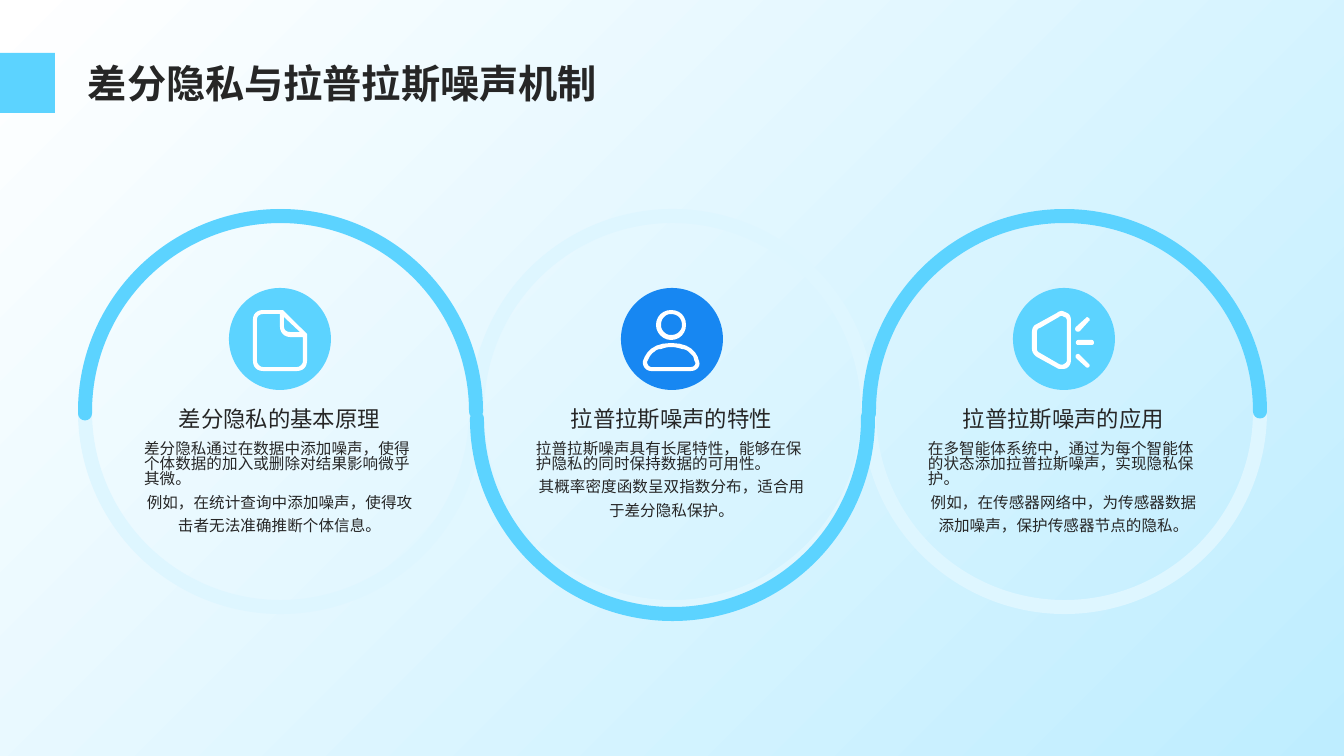
import pptx
import pptx.util
import pptx.dml.color
import pptx.enum.shapes
import pptx.enum.text
import pptx.oxml.ns
import lxml.etree

PX = 914400 / 100.8
WIDTH, HEIGHT = 1344, 756
FONT = "Noto Sans CJK SC"
SKY, BLUE, PALE, INK, WHITE = "5CD3FF", "1787F2", "DEF6FF", "262626", "FFFFFF"
SHAPE = pptx.enum.shapes.MSO_SHAPE
ALIGN = pptx.enum.text.PP_ALIGN
ANCHOR = pptx.enum.text.MSO_ANCHOR

RING, PITCH, RING_TOP, FIRST_LEFT = 391, 392, 216, 85

# Icon outlines in px from the corner of the disc: two numbers make a line, six a curve
PAGE = [
    "78 46, 54 22, 34 22, 28 22 24 26 24 31, 24 73, 24 79 28 83 34 83, 68 83, 74 83 78 79 78 73",
    "55 39, 55 29, 71 44, 61 44, 58 44 55 42 55 39",
    "74 73, 74 76 71 79 68 79, 34 79, 31 79 28 76 28 73, 28 31, 28 28 31 26 34 26, 51 26, 51 39, "
    "51 44 55 49 61 49, 74 49",
]
PERSON = [
    "50 26, 53 26 56 27 58 29, 60 31 61 34 61 37, 61 40 60 42 58 44, 56 46 53 47 50 47, "
    "47 47 45 46 43 44, 41 42 40 40 40 37, 40 34 41 31 43 29, 45 27 47 26 50 26",
    "50 22, 42 22 35 28 35 37, 35 45 42 52 50 52, 59 52 65 45 65 37, 65 28 59 22 50 22",
    "50 59, 54 59 58 60 61 61, 63 61 66 62 68 64, 69 65 71 67 72 68, 73 70 73 72 74 74, "
    "75 75 74 77 74 77, 73 78 72 79 70 79, 30 79, 29 79 28 78 27 77, 27 77 26 75 26 74, "
    "27 72 28 70 29 68, 30 67 31 65 33 64, 35 62 37 61 40 61, 43 60 46 59 50 59",
    "50 55, 32 55 25 64 22 73, 21 78 25 83 30 83, 70 83, 76 83 80 78 78 73, 76 64 69 55 50 55",
]
SPEAKER = [
    "65 66, 66 66 66 66 67 67, 76 76, 77 77 77 78 76 79, 75 80 74 80 73 79, 63 70, 62 68 63 66 65 66",
    "65 52, 79 52, 80 52 81 53 81 55, 81 56 80 57 79 57, 65 57, 64 57 63 56 63 55, 63 53 64 52 65 52",
    "74 29, 75 29 75 30 76 30, 77 31 77 33 76 33, 67 43, 66 44 64 44 63 43, 62 42 62 40 63 39, 73 30",
    "49 28, 48 28 47 28 46 29, 27 40, 25 40 24 42 24 44, 24 61, 24 63 25 64 27 65, 46 76, "
    "48 77 50 77 51 76, 53 75 54 74 54 72, 54 33, 54 31 53 29 51 29, 50 28 49 28 49 28",
    "49 23, 50 23 52 24 54 25, 57 26 58 29 58 33, 58 72, 58 75 57 78 54 80, 52 81 50 81 49 81, "
    "47 81 45 81 44 80, 24 69, 21 67 19 64 19 61, 19 44, 19 40 21 37 24 36, 44 25, 45 24 47 23 49 23",
]

TOPICS = [
    ("差分隐私的基本原理", SKY, PAGE,
     "差分隐私通过在数据中添加噪声，使得个体数据的加入或删除对结果影响微乎其微。",
     "例如，在统计查询中添加噪声，使得攻击者无法准确推断个体信息。"),
    ("拉普拉斯噪声的特性", BLUE, PERSON,
     "拉普拉斯噪声具有长尾特性，能够在保护隐私的同时保持数据的可用性。",
     "其概率密度函数呈双指数分布，适合用于差分隐私保护。"),
    ("拉普拉斯噪声的应用", SKY, SPEAKER,
     "在多智能体系统中，通过为每个智能体的状态添加拉普拉斯噪声，实现隐私保护。",
     "例如，在传感器网络中，为传感器数据添加噪声，保护传感器节点的隐私。"),
]


def emu(px):
    return round(px * PX)


def rgb(value):
    return pptx.dml.color.RGBColor.from_string(value)


def add_shape(s, kind, box, fill=None, line=None):
    sp = s.shapes.add_shape(kind, *map(emu, box))
    paint(sp, fill, line)
    return sp


def paint(sp, fill=None, line=None):
    sp.shadow.inherit = False
    for part, color in ((sp.fill, fill), (sp.line.fill, line)):
        if color:
            part.solid()
            part.fore_color.rgb = rgb(color)
        else:
            part.background()
    if line:
        sp.line.width = pptx.util.Pt(10)


def write(tf, paragraphs, size, anchor=ANCHOR.TOP, bold=False):
    """Fill a text frame with (text, alignment, line spacing) paragraphs."""
    frame = dict(word_wrap=True, auto_size=pptx.enum.text.MSO_AUTO_SIZE.NONE, vertical_anchor=anchor,
                 margin_left=0, margin_top=0, margin_right=0, margin_bottom=0)
    for key, value in frame.items():
        setattr(tf, key, value)
    for i, (text, align, spacing) in enumerate(paragraphs):
        p = tf.add_paragraph() if i else tf.paragraphs[0]
        for key, value in dict(alignment=align, line_spacing=spacing).items():
            setattr(p, key, value)
        r = p.add_run()
        r.text = text
        for key, value in dict(name=FONT, size=pptx.util.Pt(size), bold=bold).items():
            setattr(r.font, key, value)
        r.font.color.rgb = rgb(INK)
        ea = lxml.etree.SubElement(r.font._element, pptx.oxml.ns.qn("a:ea"))
        ea.set("typeface", FONT)


def add_text(s, box, *args, **kwargs):
    write(s.shapes.add_textbox(*map(emu, box)).text_frame, *args, **kwargs)


def trace(outline, steps=6):
    """Turn an outline into points, sampling its curves."""
    points = []
    for segment in outline.split(","):
        n = [float(v) for v in segment.split()]
        if len(n) == 2:
            points.append(tuple(n))
            continue
        controls = [points[-1], n[0:2], n[2:4], n[4:6]]
        for t in (k / steps for k in range(1, steps + 1)):
            weights = ((1 - t) ** 3, 3 * t * (1 - t) ** 2, 3 * t * t * (1 - t), t ** 3)
            points.append(tuple(sum(w * c[axis] for w, c in zip(weights, controls)) for axis in (0, 1)))
    return points


def add_icon(s, left, top, outlines):
    builder = None
    for outline in outlines:
        points = [(emu(left + x), emu(top + y)) for x, y in trace(outline)]
        if builder is None:
            builder = s.shapes.build_freeform(*points[0])
        else:
            builder.move_to(*points[0])
        builder.add_line_segments(points[1:], close=True)
    paint(builder.convert_to_shape(), WHITE)


def add_background(s):
    sp = add_shape(s, SHAPE.FLOWCHART_PROCESS, (0, 0, WIDTH, HEIGHT))
    sp.fill.gradient()
    sp.fill.gradient_angle = 135
    for stop, color in zip(sp.fill.gradient_stops, ("BEEDFF", WHITE)):
        stop.color.rgb = rgb(color)
    s.shapes._spTree.insert(2, sp._element)


def add_title(s, left, top, width, height):
    title = s.shapes.title
    for key, value in dict(left=left, top=top, width=width, height=height).items():
        setattr(title, key, emu(value))
    write(title.text_frame, [("差分隐私与拉普拉斯噪声机制", ALIGN.LEFT, 1.1)], 28, ANCHOR.MIDDLE, True)
    add_shape(s, SHAPE.RECTANGLE, (0, 53, 55, 60), SKY)


def add_wave(s, lefts, top):
    """Pale rings, then half arcs that alternate between upper and lower."""
    for i in (1, 2, 0):
        add_shape(s, SHAPE.OVAL, (lefts[i], top, RING, RING), line=PALE)
    for i, left in enumerate(lefts):
        lower = i % 2
        arc = add_shape(s, SHAPE.ARC, (left, top + 7 * lower, RING, RING), line=SKY)
        arc.adjustments[0], arc.adjustments[1] = 107.66, 0
        arc.rotation = 180 * lower
        arc.line._get_or_add_ln().set("cap", "rnd")


def add_topic(s, left, top, heading, color, icon, principle, example):
    add_shape(s, SHAPE.OVAL, (left + 144, top + 72, 102, 102), color)
    add_icon(s, left + 144, top + 72, icon)
    add_text(s, (left + 59, top + 185, 271, 35), [(heading, ALIGN.CENTER, 1.0)], 16, ANCHOR.MIDDLE)
    add_text(s, (left + 59, top + 226, 271, 115),
             [(principle, ALIGN.LEFT, 0.82), (example, ALIGN.CENTER, 1.25)], 11.1)


def main():
    prs = pptx.Presentation()
    prs.slide_width, prs.slide_height = emu(WIDTH), emu(HEIGHT)
    s = prs.slides.add_slide(prs.slide_layouts[5])
    lefts = [FIRST_LEFT + PITCH * i for i in range(len(TOPICS))]
    add_background(s)
    add_title(s, 88, 55, 1198, 51)
    add_wave(s, lefts, RING_TOP)
    for left, topic in zip(lefts, TOPICS):
        add_topic(s, left, RING_TOP, *topic)
    prs.save("out.pptx")


if __name__ == "__main__":
    main()
